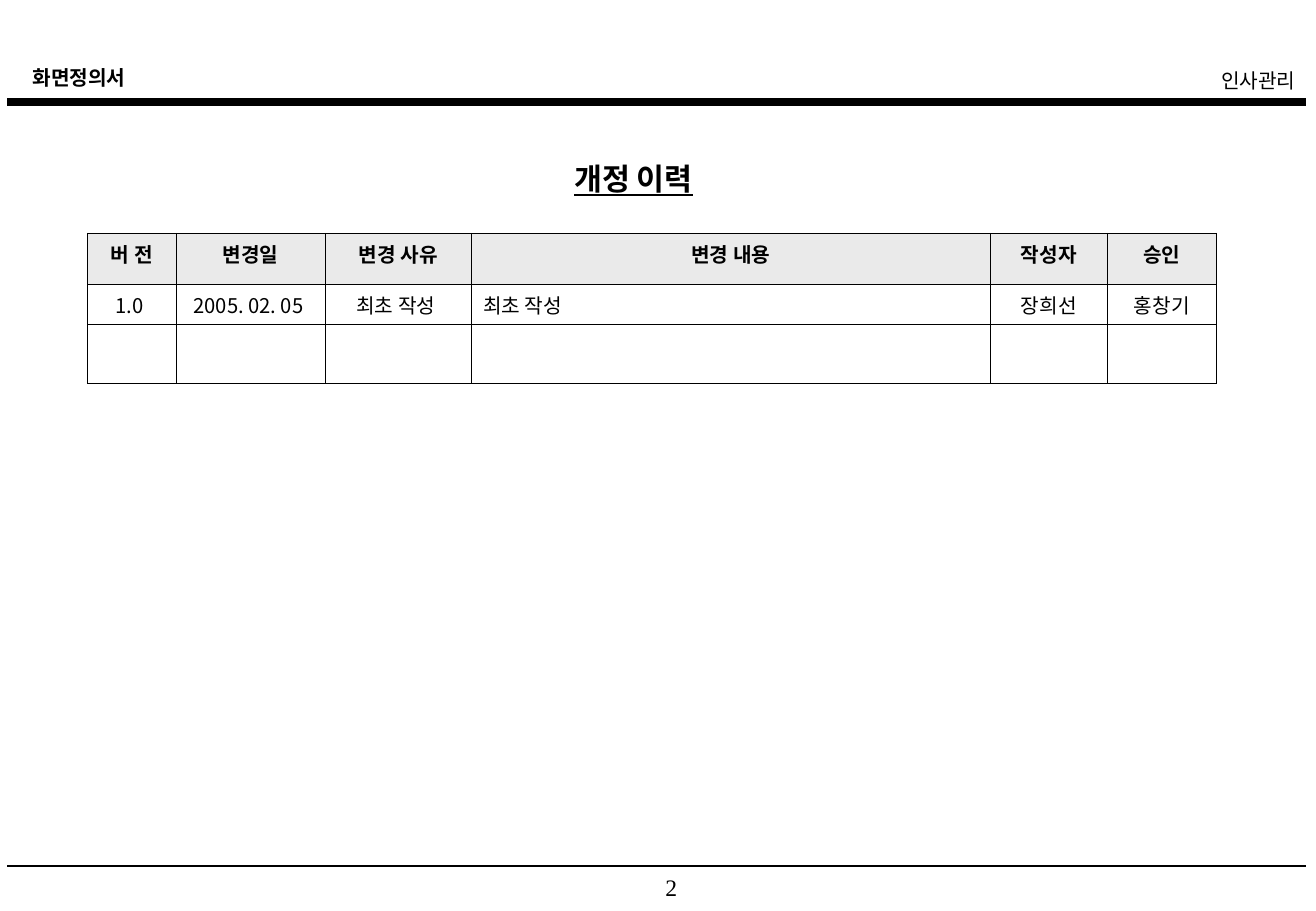
import pptx
import pptx.util
import pptx.dml.color
import pptx.enum.shapes
import pptx.enum.text
import pptx.oxml
import pptx.oxml.ns

Inches = pptx.util.Inches
Pt = pptx.util.Pt
ALIGN = pptx.enum.text.PP_ALIGN
BLACK = pptx.dml.color.RGBColor(0x00, 0x00, 0x00)
HEADER_GRAY = pptx.dml.color.RGBColor(0xEA, 0xEA, 0xEA)
KOREAN_FONT = "Noto Sans CJK KR"
NUMBER_FONT = "Times New Roman"

COLUMN_WIDTHS = (0.73, 1.23, 1.2, 4.28, 0.96, 0.9)
ROW_HEIGHTS = (0.42, 0.33, 0.49)
REVISIONS = (
    ("버 전", "변경일", "변경 사유", "변경 내용", "작성자", "승인"),
    ("1.0 ", "2005. 02. 05 ", "최초 작성 ", "최초 작성", "장희선", "홍창기"),
    ("",) * 6,
)
CONTENT_COLUMN = 3


def write_text(frame, text, size, align=ALIGN.LEFT, face=KOREAN_FONT, space=0, **styles):
    para = frame.paragraphs[0]
    para.alignment = align
    para.space_before = Pt(space)
    span = para.add_run()
    span.text = text
    formats = {"name": face, "size": Pt(size), "bold": False, **styles}
    for key, value in formats.items():
        setattr(span.font, key, value)
    span.font.color.rgb = BLACK
    east_asian = pptx.oxml.parse_xml(
        f'<a:ea {pptx.oxml.ns.nsdecls("a")} typeface="{face}"/>')
    span.font._element.find(pptx.oxml.ns.qn("a:latin")).addnext(east_asian)
    return para


def add_label(page, box, text, size, **styles):
    label = page.shapes.add_textbox(*map(Inches, box))
    label.text_frame.word_wrap = True
    return write_text(label.text_frame, text, size, **styles)


def add_rule(page, left, top, width, weight):
    rule = page.shapes.add_connector(
        pptx.enum.shapes.MSO_CONNECTOR.STRAIGHT,
        Inches(left), Inches(top), Inches(left + width), Inches(top))
    rule.line.color.rgb = BLACK
    rule.line.width = Pt(weight)
    rule._element.spPr.append(
        pptx.oxml.parse_xml(f'<a:effectLst {pptx.oxml.ns.nsdecls("a")}/>'))


def add_header(page, box):
    left, top, width, height = box
    add_label(page, (left + 0.11, top, 4.35, 0.3), "화면정의서", 12, bold=True)
    add_label(page, (left + width - 4.68, top + 0.02, 4.69, 0.3), "인사관리", 12,
              align=ALIGN.RIGHT)
    add_rule(page, left, top + height, width, 4.5)


def add_footer(page, box):
    left, top, width, height = box
    add_rule(page, left, top, width, 1)
    para = add_label(page, (left + width / 2 - 0.39, top + 0.01, 0.78, height), "2", 14,
                     align=ALIGN.CENTER, face=NUMBER_FONT)
    para._p.get_or_add_pPr().set("marL", str(Inches(0.24)))


def set_title(page, box):
    title = page.shapes.title
    for key, value in zip(("left", "top", "width", "height"), box):
        setattr(title, key, Inches(value))
    formats = {
        "word_wrap": True,
        "auto_size": pptx.enum.text.MSO_AUTO_SIZE.NONE,
        "vertical_anchor": pptx.enum.text.MSO_ANCHOR.TOP,
    }
    for key, value in formats.items():
        setattr(title.text_frame, key, value)
    write_text(title.text_frame, "개정 이력", 18, space=11.2, bold=True, underline=True)


def add_borders(cell):
    properties = cell._tc.get_or_add_tcPr()
    for position, side in enumerate(("lnL", "lnR", "lnT", "lnB")):
        properties.insert(position, pptx.oxml.parse_xml(
            f'<a:{side} {pptx.oxml.ns.nsdecls("a")} w="{Pt(0.45)}">'
            f'<a:solidFill><a:srgbClr val="{BLACK}"/></a:solidFill></a:{side}>'))


def add_revision_table(page, box):
    table = page.shapes.add_table(
        len(ROW_HEIGHTS), len(COLUMN_WIDTHS), *map(Inches, box)).table
    table.first_row = False
    table.horz_banding = False
    for column, width in zip(table.columns, COLUMN_WIDTHS):
        column.width = Inches(width)
    for row_index, (row, height) in enumerate(zip(table.rows, ROW_HEIGHTS)):
        row.height = Inches(height)
        is_header = row_index == 0
        for column_index, cell in enumerate(row.cells):
            for side in ("left", "right"):
                setattr(cell, f"margin_{side}", Inches(0.1))
            if is_header:
                cell.fill.solid()
                cell.fill.fore_color.rgb = HEADER_GRAY
            else:
                cell.fill.background()
            add_borders(cell)
            text = REVISIONS[row_index][column_index]
            if text:
                is_content = column_index == CONTENT_COLUMN and not is_header
                write_text(cell.text_frame, text, 12, space=3, bold=is_header,
                           align=ALIGN.LEFT if is_content else ALIGN.CENTER)


def build_revision_page(deck):
    page = deck.slides.add_slide(deck.slide_layouts[5])
    add_header(page, (0.06, 0.49, 10.7, 0.35))
    set_title(page, (4.63, 1.27, 1.53, 0.4))
    add_revision_table(page, (0.72, 1.92, sum(COLUMN_WIDTHS), sum(ROW_HEIGHTS)))
    add_footer(page, (0.06, 7.13, 10.7, 0.27))


def main():
    deck = pptx.Presentation()
    deck.slide_width = Inches(10.84)
    deck.slide_height = Inches(7.5)
    build_revision_page(deck)
    deck.save("out.pptx")


if __name__ == "__main__":
    main()
